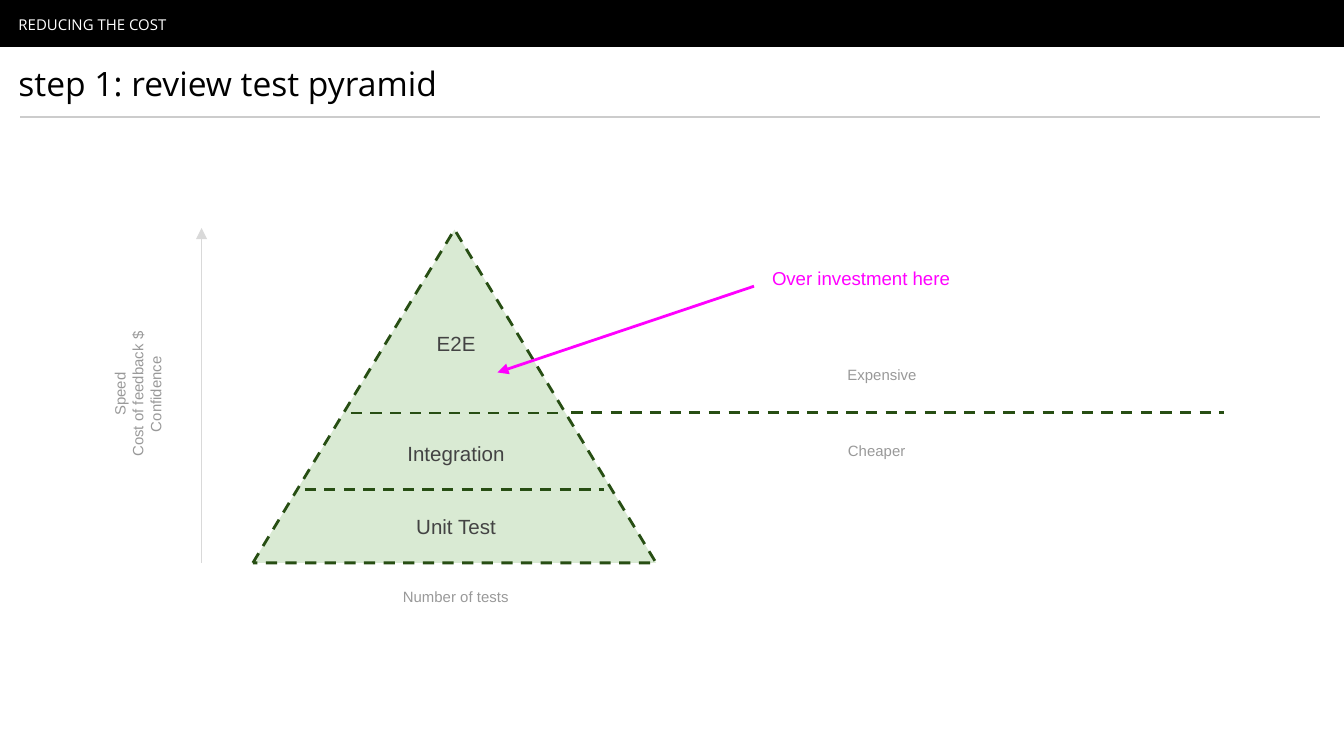
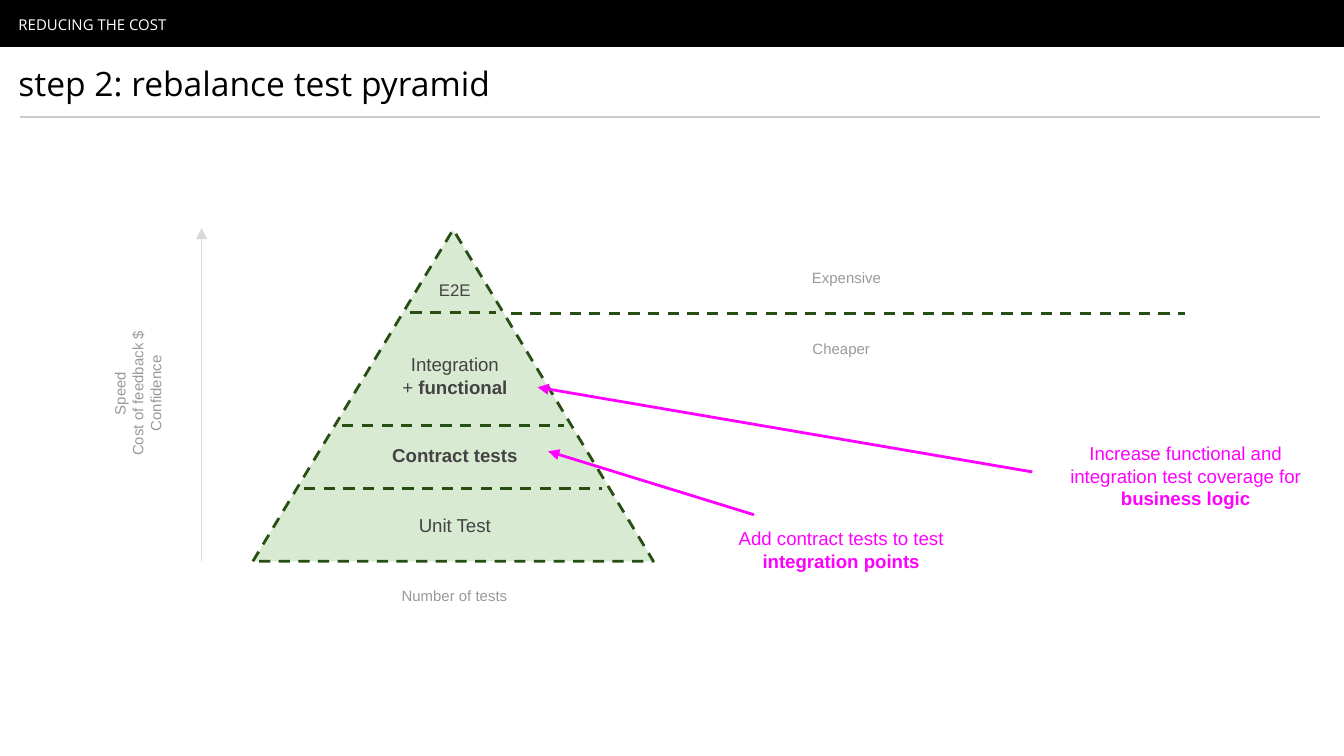
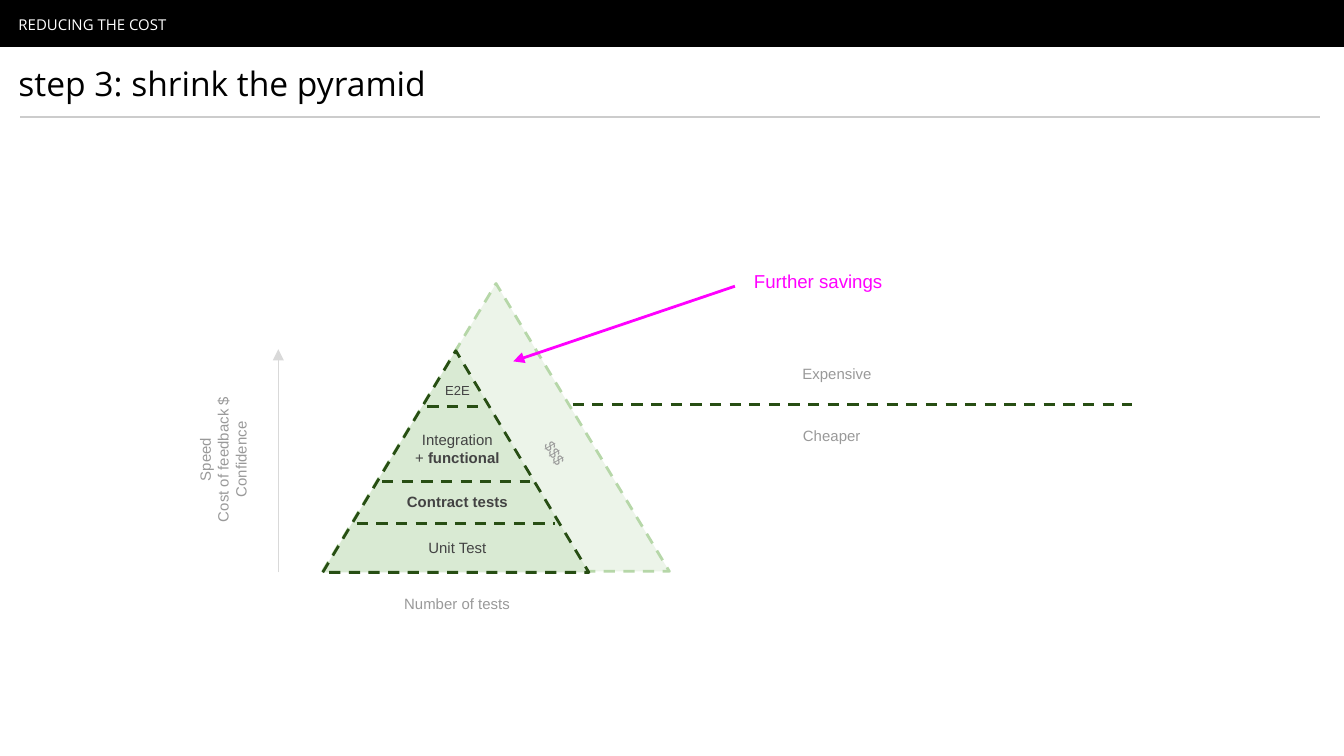
from lxml.etree import SubElement
from pptx import Presentation
from pptx.dml.color import RGBColor
from pptx.enum.dml import MSO_LINE
from pptx.enum.shapes import MSO_CONNECTOR, MSO_SHAPE
from pptx.enum.text import MSO_ANCHOR as ANCHOR, PP_ALIGN as ALIGN
from pptx.oxml.ns import qn
from pptx.util import Cm, Pt

COLORS = {
    "band": "000000", "band_text": "FFFFFF", "title": "000000", "rule": "CCCCCC",
    "fill": "D9EAD3", "edge": "274E13", "ghost_edge": "B6D7A8", "label": "434343",
    "note": "999999", "axis": "D9D9D9", "callout": "FF00FF",
}
SLIDE_W, SLIDE_H = 25.4, 14.29
BAND_H = 0.89

E2E = [[("E2E", False)]]
INTEGRATION = [[("Integration", False)]]
FUNCTIONAL = [[("Integration", False)], [("+ ", False), ("functional", True)]]
CONTRACT = [[("Contract tests", True)]]
UNIT = [[("Unit Test", False)]]

# (text, centre, floor, label width, label height) as shares of the pyramid
REVIEWED = [
    (E2E, 0.34, 0.55, 0.43, 0.22),
    (INTEGRATION, 0.67, 0.78, 0.8, 0.22),
    (UNIT, 0.89, 1, 1, 0.22),
]
REBALANCED = [
    (E2E, 0.18, 0.25, 0.43, 0.22),
    (FUNCTIONAL, 0.44, 0.59, 0.58, 0.28),
    (CONTRACT, 0.68, 0.78, 0.8, 0.19),
    (UNIT, 0.89, 1, 1, 0.22),
]


def rgb(name):
    return RGBColor.from_string(COLORS[name])


def centred(cx, cy, w, h):
    return cx - w / 2, cy - h / 2, w, h


def add_text(s, box, paragraphs, size, color, font="Arial", align=ALIGN.CENTER,
             anchor=ANCHOR.MIDDLE, rotation=0, spacing=None):
    sp = s.shapes.add_textbox(*map(Cm, box))
    sp.rotation = rotation
    tf = sp.text_frame
    tf.word_wrap = True
    tf.vertical_anchor = anchor
    tf.margin_left = tf.margin_right = tf.margin_top = tf.margin_bottom = Cm(0.25)
    for i, runs in enumerate(paragraphs):
        p = tf.paragraphs[0] if i == 0 else tf.add_paragraph()
        p.alignment = align
        if spacing:
            p.line_spacing = spacing
        for text, bold in runs:
            r = p.add_run()
            r.text = text
            r.font.name = font
            r.font.size = Pt(size)
            r.font.bold = bold
            r.font.color.rgb = rgb(color)


def add_note(s, box, *lines, rotation=0):
    add_text(s, box, [[(line, False)] for line in lines], 8, "note", rotation=rotation)


def add_line(s, start, end, color, width=1.5, dashed=False, arrow=False):
    c = s.shapes.add_connector(MSO_CONNECTOR.STRAIGHT, *map(Cm, (*start, *end)))
    c.line.color.rgb = rgb(color)
    c.line.width = Pt(width)
    if dashed:
        c.line.dash_style = MSO_LINE.DASH
    if arrow:
        SubElement(c.line._get_or_add_ln(), qn("a:tailEnd"), type="triangle")
    SubElement(c._element.spPr, qn("a:effectLst"))


def add_shape(s, kind, box, fill, edge=None, alpha=None):
    sp = s.shapes.add_shape(kind, *map(Cm, box))
    sp.shadow.inherit = False
    sp.fill.solid()
    sp.fill.fore_color.rgb = rgb(fill)
    if alpha:
        clr = sp._element.spPr.find(qn("a:solidFill")).find(qn("a:srgbClr"))
        SubElement(clr, qn("a:alpha"), val=str(alpha * 1000))
    if edge:
        sp.line.color.rgb = rgb(edge)
        sp.line.width = Pt(1.5)
        sp.line.dash_style = MSO_LINE.DASH
    else:
        sp.line.fill.background()


def add_step(prs, title):
    s = prs.slides.add_slide(prs.slide_layouts[6])
    add_shape(s, MSO_SHAPE.RECTANGLE, (0, 0, SLIDE_W, BAND_H), "band")
    add_text(s, (0.1, 0.08, 22.43, 0.71), [[("REDUCING THE COST", False)]], 8,
             "band_text", "Open Sans", ALIGN.LEFT, spacing=1.15)
    add_text(s, (0.1, 0.94, 22.17, 1.32), [[(title, False)]], 18,
             "title", "Open Sans", ALIGN.LEFT, ANCHOR.TOP)
    add_line(s, (0.38, 2.21), (24.94, 2.21), "rule", 0.75)
    return s


def add_pyramid(s, box, levels, size, top_size):
    x, y, w, h = box
    cx = x + w / 2
    inset = 0.018 * w
    add_shape(s, MSO_SHAPE.ISOSCELES_TRIANGLE, box, "fill", "edge")
    for i, (text, centre, floor, label_w, label_h) in enumerate(levels):
        label_box = centred(cx + 0.03, y + centre * h, label_w * w, label_h * h)
        add_text(s, label_box, text, size if i else top_size, "label")
        if floor < 1:
            half, line_y = floor * w / 2 - inset, y + floor * h
            add_line(s, (cx - half, line_y), (cx + half, line_y), "edge", dashed=True)


def add_axes(s, box, gap, note_h):
    x, y, w, h = box
    axis_x = x - gap
    add_line(s, (axis_x, y + h), (axis_x, y - 0.03), "axis", 0.75, arrow=True)
    add_note(s, centred(axis_x - 1.25 * gap, y + h / 2 - 0.04, h, 2 * note_h),
             "Speed", "Cost of feedback $", "Confidence", rotation=270)
    add_note(s, (x, y + h + 0.24, w + 0.05, note_h), "Number of tests")


def add_cost_line(s, x, y, length, label_x, gap, label_w, label_h):
    add_line(s, (x, y), (x + length, y), "edge", dashed=True)
    add_note(s, centred(label_x + 0.05, y - gap, label_w, label_h), "Expensive")
    add_note(s, centred(label_x - 0.05, y + gap, label_w, label_h), "Cheaper")


def add_callout(s, box, start, end, *runs, align=ALIGN.CENTER):
    add_line(s, start, end, "callout", arrow=True)
    add_text(s, box, [runs], 10, "callout", align=align)


def add_savings(s, box):
    x, y, w, h = box
    add_shape(s, MSO_SHAPE.ISOSCELES_TRIANGLE, box, "fill", "ghost_edge", alpha=48)
    add_note(s, centred(x + 0.67 * w, y + 0.59 * h, 5, 0.71), "$$$", rotation=60)


def build_review(prs):
    s = add_step(prs, "step 1: review test pyramid")
    box = (4.78, 4.34, 7.62, 6.3)
    add_pyramid(s, box, REVIEWED, 11, 11)
    add_axes(s, box, 0.97, 0.81)
    add_cost_line(s, 10.8, 7.8, 12.34, 16.62, 0.72, 5.8, 0.81)
    add_callout(s, (13.36, 4.85, 5.82, 0.81), (14.25, 5.41), (9.4, 7.04),
                ("Over investment here", False))


def build_rebalance(prs):
    s = add_step(prs, "step 2: rebalance test pyramid")
    box = (4.78, 4.34, 7.57, 6.27)
    add_pyramid(s, box, REBALANCED, 10, 9)
    add_axes(s, box, 0.97, 0.81)
    add_cost_line(s, 9.65, 5.92, 12.75, 15.95, 0.67, 5.8, 0.81)
    add_callout(s, (13, 9.98, 5.79, 0.81), (14.25, 9.73), (10.36, 8.53),
                ("Add contract tests to test ", False), ("integration points", True))
    add_callout(s, (19.51, 8.23, 5.79, 1.52), (19.51, 8.92), (10.16, 7.32),
                ("Increase functional and integration test coverage for ", False),
                ("business logic", True))


def build_shrink(prs):
    s = add_step(prs, "step 3: shrink the pyramid")
    box = (6.1, 6.63, 5.03, 4.19)
    add_savings(s, (6.1, 5.36, 6.55, 5.44))
    add_pyramid(s, box, REBALANCED, 8, 7)
    add_axes(s, box, 0.84, 0.71)
    add_cost_line(s, 10.82, 7.65, 10.57, 15.77, 0.58, 5, 0.71)
    add_callout(s, (14, 4.95, 4.34, 0.71), (13.89, 5.41), (9.7, 6.83),
                ("Further savings", False), align=ALIGN.LEFT)


def main():
    prs = Presentation()
    prs.slide_width, prs.slide_height = Cm(SLIDE_W), Cm(SLIDE_H)
    for build in (build_review, build_rebalance, build_shrink):
        build(prs)
    prs.save("out.pptx")


if __name__ == "__main__":
    main()
